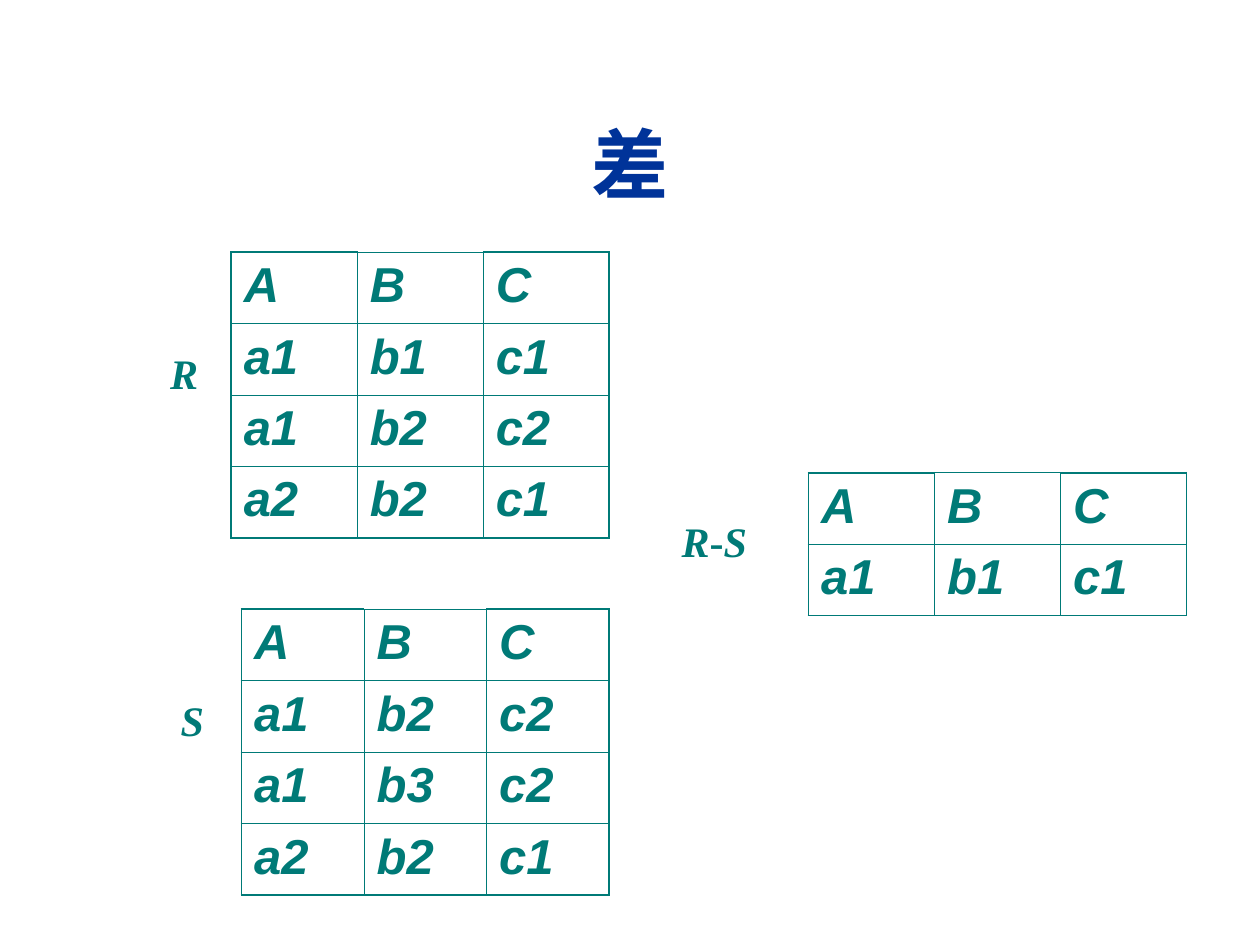
from lxml.etree import SubElement
from pptx import Presentation
from pptx.dml.color import RGBColor
from pptx.enum.text import MSO_ANCHOR as Anchor, MSO_AUTO_SIZE as AutoSize, PP_ALIGN as Align
from pptx.oxml.ns import qn
from pptx.util import Cm, Pt

COLORS = {"title": "003399", "teal": "007A77"}
THIN, THICK = 0.45, 1.08
ROW_HEIGHT = 1.44


def add_text(para, text, font="Arial", size=28, color="teal", bold=True, italic=True):
    span = para.add_run()
    span.text = text
    span.font.name = font
    span.font.size = Pt(size)
    span.font.bold = bold
    span.font.italic = italic
    span.font.color.rgb = RGBColor.from_string(COLORS[color])


class RelationPage:
    def __init__(self, deck):
        self.page = deck.slides.add_slide(deck.slide_layouts[5])

    def title(self, text, left, top, width, height):
        box = self.page.shapes.title
        box.left, box.top, box.width, box.height = map(Cm, (left, top, width, height))
        frame = box.text_frame
        frame.auto_size = AutoSize.NONE
        frame.vertical_anchor = Anchor.MIDDLE
        para = frame.paragraphs[0]
        para.alignment = Align.CENTER
        add_text(para, text, size=44, color="title", italic=False)

    def label(self, parts, left, top, width, height=2.33):
        box = self.page.shapes.add_textbox(*map(Cm, (left, top, width, height)))
        frame = box.text_frame
        frame.word_wrap = False
        frame.vertical_anchor = Anchor.MIDDLE
        para = frame.paragraphs[0]
        para.alignment = Align.CENTER
        for text in parts:
            add_text(para, text, font="Times New Roman", size=24, italic=text != "-")

    def relation(self, rows, left, top, column_width):
        row_count, column_count = len(rows), len(rows[0])
        table = self.page.shapes.add_table(
            row_count, column_count, Cm(left), Cm(top),
            Cm(column_width * column_count), Cm(ROW_HEIGHT * row_count)).table
        table.first_row = table.horz_banding = False
        for column in table.columns:
            column.width = Cm(column_width)
        for r, row in enumerate(rows):
            table.rows[r].height = Cm(ROW_HEIGHT)
            for c, text in enumerate(row):
                cell = table.cell(r, c)
                add_text(cell.text_frame.paragraphs[0], text)
                first, last = c == 0, c == column_count - 1
                # The outline is thick, except at the top of the inner columns
                self.borders(cell, {
                    "L": first,
                    "R": last,
                    "T": r == 0 and (first or last),
                    "B": r == row_count - 1,
                })
                cell.fill.background()

    def borders(self, cell, thick_sides):
        properties = cell._tc.get_or_add_tcPr()
        for side, thick in thick_sides.items():
            line = SubElement(properties, qn(f"a:ln{side}"),
                              w=str(Pt(THICK if thick else THIN)))
            fill = SubElement(line, qn("a:solidFill"))
            SubElement(fill, qn("a:srgbClr"), val=COLORS["teal"])


def main():
    deck = Presentation()
    deck.slide_width, deck.slide_height = Cm(25.4), Cm(19.05)
    page = RelationPage(deck)
    page.title("差", 0.85, 1.69, 23.72, 3.18)

    # Relations: R, the difference R-S, and S
    header = ["A", "B", "C"]
    page.relation([header, ["a1", "b1", "c1"], ["a1", "b2", "c2"], ["a2", "b2", "c1"]],
                  4.66, 5.08, 2.54)
    page.relation([header, ["a1", "b1", "c1"]], 16.3, 9.53, 2.54)
    page.relation([header, ["a1", "b2", "c2"], ["a1", "b3", "c2"], ["a2", "b2", "c1"]],
                  4.87, 12.28, 2.47)

    # Names beside the relations
    page.label(["R"], 3.18, 6.35, 0.85)
    page.label(["S"], 3.39, 13.34, 0.85)
    page.label(["R", "-", "S "], 13.34, 9.74, 2.33)

    deck.save("out.pptx")


if __name__ == "__main__":
    main()
